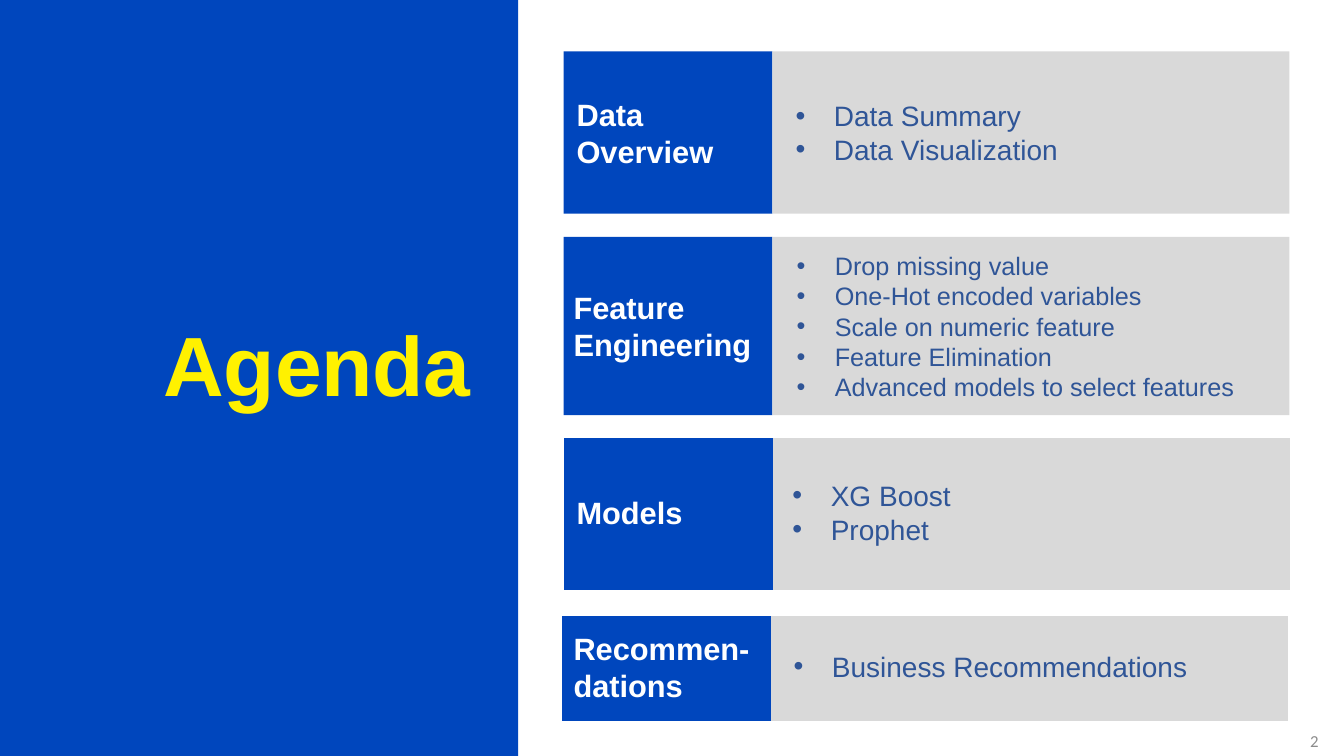
from dataclasses import dataclass

from lxml import etree
from pptx import Presentation
from pptx import util as u
from pptx.dml.color import RGBColor
from pptx.enum import shapes, text
from pptx.oxml import ns


@dataclass(frozen=True)
class Theme:
    """Colours, fonts and type sizes of the deck."""

    blue: str = "0046BD"
    grey: str = "D9D9D9"
    yellow: str = "FFF100"
    white: str = "FFFFFF"
    list_blue: str = "2F5597"
    number_grey: str = "8C8C8C"
    font: str = "Arial"
    number_font: str = "Calibri"
    title_size: int = 60
    label_size: int = 22
    list_size: int = 20
    dense_size: int = 18
    number_size: int = 12


@dataclass(frozen=True)
class Section:
    """One agenda band: its box, wording and fine offsets."""

    label: str
    topics: tuple
    box: tuple
    as_table: bool = False
    size: int = Theme.list_size
    label_shift: float = 0.03
    list_shift: float = 0.13


THEME = Theme()
LABEL_WIDTH = 2.07
TABLE_BORDER = 0.08
NO_STYLE = "{2D5ABB26-0587-4C30-8999-92F81FD0307C}"
SECTIONS = (
    Section("Data Overview", ("Data Summary", "Data Visualization"),
            (5.59, 0.51, 7.2, 1.61)),
    Section("Feature Engineering",
            ("Drop missing value", "One-Hot encoded variables",
             "Scale on numeric feature", "Feature Elimination",
             "Advanced models to select features"),
            (5.59, 2.35, 7.2, 1.77), size=THEME.dense_size,
            label_shift=0, list_shift=0.14),
    Section("Models", ("XG Boost", "Prophet"),
            (5.59, 4.35, 7.2, 1.54), as_table=True, list_shift=0.1),
    Section("Recommen-dations", ("Business Recommendations",),
            (5.57, 6.11, 7.2, 1.08), as_table=True, label_shift=0.02),
)


def add_child(parent, tag, **attributes):
    """Append a DrawingML element to its parent."""
    return etree.SubElement(parent, ns.qn(tag), attributes)


def place(part, left, top, width, height):
    """Move a part to the given box and bring it to the front."""
    part.left, part.top = u.Inches(left), u.Inches(top)
    part.width, part.height = u.Inches(width), u.Inches(height)
    part.element.getparent().append(part.element)


def write(part, lines, *, size, color, font=THEME.font, bold=False,
          align=text.PP_ALIGN.LEFT, anchor=text.MSO_ANCHOR.MIDDLE,
          margin=0.1, bullets=False, tracking=None):
    """Fill a part with formatted paragraphs."""
    frame = part.text_frame
    frame.word_wrap = True
    frame.auto_size = text.MSO_AUTO_SIZE.NONE
    frame.vertical_anchor = anchor
    frame.margin_left = frame.margin_right = u.Inches(margin)
    frame.margin_top = frame.margin_bottom = 0
    frame.text = "\n".join(lines)
    for paragraph in frame.paragraphs:
        paragraph.alignment = align
        paragraph.line_spacing = 1.0
        paragraph.space_before = paragraph.space_after = u.Pt(0)
        style = paragraph.runs[0].font
        style.name, style.size, style.bold = font, u.Pt(size), bold
        style.color.rgb = RGBColor.from_string(color)
        if tracking:
            paragraph.runs[0]._r.get_or_add_rPr().set("spc", str(tracking))
        if bullets:
            properties = paragraph._p.get_or_add_pPr()
            properties.set("marL", str(u.Inches(0.38)))
            properties.set("indent", str(-u.Inches(0.38)))
            add_child(properties, "a:buFont", typeface="Arial")
            add_child(properties, "a:buChar", char="•")


def add_block(slide, left, top, width, height, color):
    """Draw a flat rectangle."""
    block = slide.shapes.add_shape(
        shapes.MSO_SHAPE.RECTANGLE, *map(u.Inches, (left, top, width, height)))
    block.shadow.inherit = False
    block.fill.solid()
    block.fill.fore_color.rgb = RGBColor.from_string(color)
    block.line.fill.background()


def add_band_table(slide, left, top, width, height):
    """Draw a band as a one-row table with a white lower border."""
    band = slide.shapes.add_table(
        1, 2, *map(u.Inches, (left, top, width, height))).table
    band._tbl.tblPr.find(ns.qn("a:tableStyleId")).text = NO_STYLE
    columns = ((2.08, THEME.blue), (width - 2.08, THEME.grey))
    for index, (column_width, color) in enumerate(columns):
        band.columns[index].width = u.Inches(column_width)
        cell = band.cell(0, index)
        border = add_child(cell._tc.get_or_add_tcPr(), "a:lnB", w=str(u.Pt(6)))
        border_fill = add_child(border, "a:solidFill")
        add_child(border_fill, "a:srgbClr", val=THEME.white)
        cell.fill.solid()
        cell.fill.fore_color.rgb = RGBColor.from_string(color)


def add_title_panel(slide, left, top, width, height):
    """Draw the blue side panel with the slide title."""
    add_block(slide, left, top, width, height, THEME.blue)
    title = slide.shapes.title
    place(title, left + 1.62, top + 3.1, 3.3, 1.03)
    write(title, ["Agenda"], size=THEME.title_size, color=THEME.yellow,
          bold=True, margin=0, anchor=text.MSO_ANCHOR.TOP, tracking=-10)


def add_section(slide, section, topic_list):
    """Draw one agenda band with its label and topics."""
    left, top, width, height = section.box
    split = left + LABEL_WIDTH
    if section.as_table:
        add_band_table(slide, *section.box)
        height -= TABLE_BORDER
    else:
        add_block(slide, left, top, LABEL_WIDTH, height, THEME.blue)
        add_block(slide, split, top, width - LABEL_WIDTH, height, THEME.grey)
    place(topic_list, split + section.list_shift, top, 4.57, height)
    write(topic_list, section.topics, size=section.size,
          color=THEME.list_blue, bullets=True)
    label = slide.shapes.add_textbox(0, 0, 0, 0)
    place(label, left + section.label_shift, top, 1.99, height)
    write(label, [section.label], size=THEME.label_size,
          color=THEME.white, bold=True)


def add_page_number(slide, left, top, width, height):
    """Write the page number in the lower corner."""
    number = slide.shapes.add_textbox(0, 0, 0, 0)
    place(number, left, top, width, height)
    write(number, ["2"], size=THEME.number_size, color=THEME.number_grey,
          font=THEME.number_font, align=text.PP_ALIGN.RIGHT, margin=0)


def main():
    """Build the agenda slide and save it."""
    deck = Presentation()
    deck.slide_width, deck.slide_height = u.Inches(13.33), u.Inches(7.5)
    slide = deck.slides.add_slide(deck.slide_layouts.get_by_name("Comparison"))
    topic_lists = list(slide.placeholders)[1:]
    add_title_panel(slide, 0, 0, 5.14, 7.5)
    for section, topic_list in zip(SECTIONS, topic_lists):
        add_section(slide, section, topic_list)
    add_page_number(slide, 12.85, 7.27, 0.23, 0.16)
    deck.save("out.pptx")


if __name__ == "__main__":
    main()
